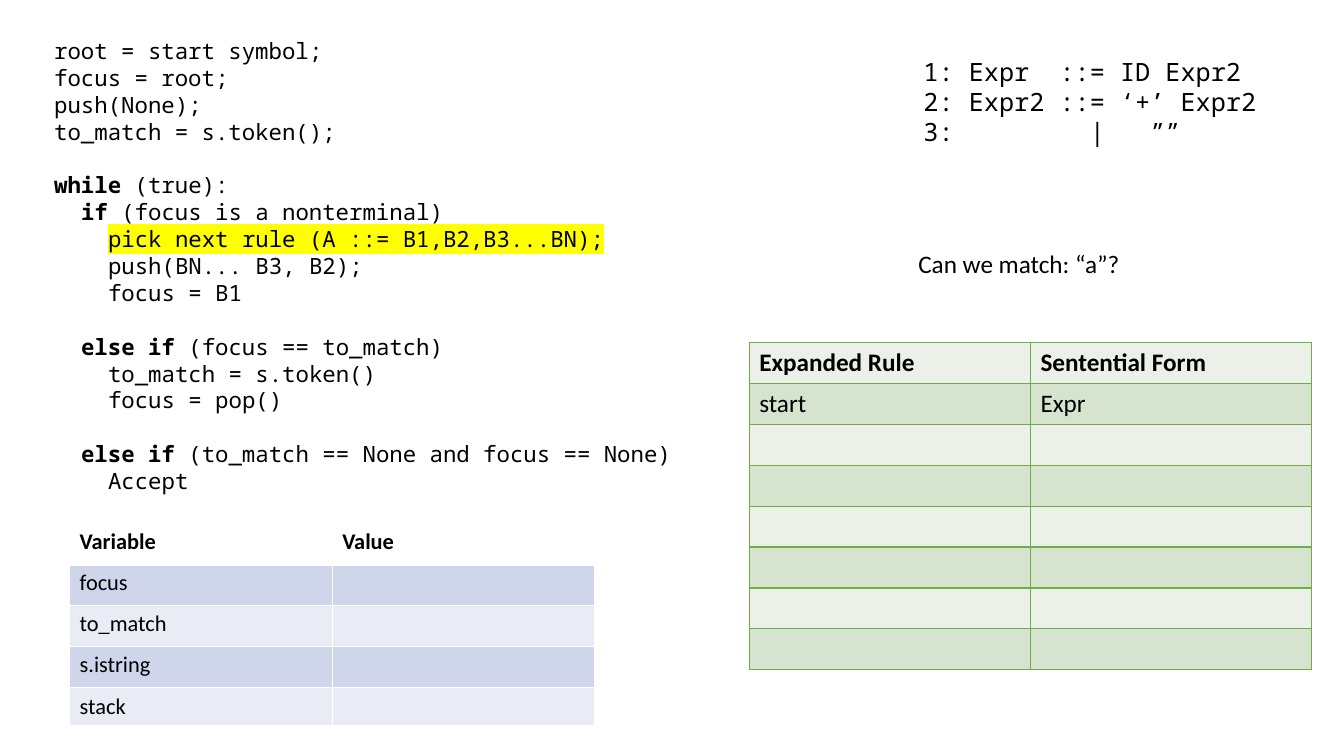
from dataclasses import dataclass
from typing import NamedTuple

from lxml.etree import SubElement
from pptx import Presentation
from pptx.dml.color import RGBColor
from pptx.enum.text import MSO_AUTO_SIZE as AutoSize
from pptx.oxml.ns import qn
from pptx.util import Inches, Pt

MONO, SANS = "Noto Sans Mono", "Calibri"
CODE_SIZE, TEXT_SIZE = 16, 18
CODE_PITCH, GRAMMAR_PITCH = 19.2, 21.4
CHAR_SHARE = 0.6
BLACK, WHITE, YELLOW, GREEN = "000000", "FFFFFF", "FFFF00", "70AD47"


class Box(NamedTuple):
    """Left, top, width and height in percent of the slide."""
    x: float
    y: float
    w: float
    h: float


class Line(NamedTuple):
    text: str
    keyword: str = ""
    level: int = 0
    gap: bool = False
    mark: str = ""
    tabs: tuple[int, ...] = ()


@dataclass
class TextBlock:
    box: Box
    lines: list[Line]
    font: str
    size: int
    pitch: float = 0


@dataclass
class Grid:
    box: Box
    cells: list[tuple[str, str]]
    heights: list[float]
    size: int
    bands: tuple[str, str]
    head_fill: str
    border: str
    head_rule: int = 1


prs = Presentation()
prs.slide_width, prs.slide_height = Inches(13.33), Inches(7.5)
s = prs.slides.add_slide(prs.slide_layouts[6])


def across(share: float) -> int:
    return round(prs.slide_width * share / 100)


def down(share: float) -> int:
    return round(prs.slide_height * share / 100)


def frame(box: Box) -> tuple[int, int, int, int]:
    return across(box.x), down(box.y), across(box.w), down(box.h)


def paint(target, color: str) -> None:
    target.rgb = RGBColor.from_string(color)


def add_run(p, text: str, font: str, size: int, bold: bool = False, mark: str = "") -> None:
    r = p.add_run()
    r.text = text
    for key, value in {"name": font, "size": Pt(size), "bold": bold}.items():
        setattr(r.font, key, value)
    r.font.fill.solid()
    paint(r.font.fill.fore_color, BLACK)
    if mark:
        rpr = r._r.get_or_add_rPr()
        highlight = SubElement(rpr, qn("a:highlight"))
        SubElement(highlight, qn("a:srgbClr"), val=mark)
        rpr.find(qn("a:solidFill")).addnext(highlight)


def add_text(block: TextBlock) -> None:
    tf = s.shapes.add_textbox(*frame(block.box)).text_frame
    for key, value in {"word_wrap": True, "auto_size": AutoSize.NONE}.items():
        setattr(tf, key, value)
    char = block.size * CHAR_SHARE
    for i, line in enumerate(block.lines):
        p = tf.add_paragraph() if i else tf.paragraphs[0]
        if block.pitch:
            p.line_spacing = Pt(block.pitch)
        if line.gap:
            p.space_before = Pt(block.pitch)
        ppr = p._p.get_or_add_pPr()
        if line.level:
            ppr.set("marL", str(Pt(2 * line.level * char)))
            ppr.set("indent", "0")
        if line.tabs:
            stops = SubElement(ppr, qn("a:tabLst"))
            for col in line.tabs:
                SubElement(stops, qn("a:tab"), pos=str(Pt(col * char)), algn="l")
        if line.keyword:
            add_run(p, line.keyword, block.font, block.size, bold=True)
        add_run(p, line.text, block.font, block.size, mark=line.mark)


def add_borders(cell, color: str, bottom: int) -> None:
    tcpr = cell._tc.get_or_add_tcPr()
    for i, side in enumerate("LRTB"):
        width = bottom if side == "B" else 1
        ln = SubElement(tcpr, qn(f"a:ln{side}"), w=str(Pt(width)))
        SubElement(SubElement(ln, qn("a:solidFill")), qn("a:srgbClr"), val=color)
        tcpr.insert(i, ln)


def add_grid(grid: Grid) -> None:
    tbl = s.shapes.add_table(len(grid.cells), 2, *frame(grid.box)).table
    for col in tbl.columns:
        col.width = across(grid.box.w / 2)
    for i, (row, texts) in enumerate(zip(tbl.rows, grid.cells)):
        row.height = down(grid.heights[i])
        for cell, text in zip(row.cells, texts):
            cell.fill.solid()
            paint(cell.fill.fore_color, grid.bands[i % 2] if i else grid.head_fill)
            add_borders(cell, grid.border, 1 if i else grid.head_rule)
            p = cell.text_frame.paragraphs[0]
            if text:
                add_run(p, text, SANS, grid.size, bold=not i)
            else:
                SubElement(p._p, qn("a:endParaRPr"), sz=str(grid.size * 100))


code = [
    Line("root = start symbol;"),
    Line("focus = root;"),
    Line("push(None);"),
    Line("to_match = s.token();"),
    Line(" (true):", "while", gap=True),
    Line(" (focus is a nonterminal)", "if", 1),
    Line("pick next rule (A ::= B1,B2,B3...BN);", level=2, mark=YELLOW),
    Line("push(BN... B3, B2);", level=2),
    Line("focus = B1", level=2),
    Line("(focus == to_match)", "else if ", 1, gap=True),
    Line("to_match = s.token()", level=2),
    Line("focus = pop()", level=2),
    Line("(to_match == None and focus == None)", "else if ", 1, gap=True),
    Line("Accept", level=2),
]
grammar = [
    Line("1: Expr\t::= ID Expr2", tabs=(9,)),
    Line("2: Expr2\t::= ‘+’ Expr2", tabs=(9,)),
    Line("3:\t|\t””", tabs=(11, 15)),
]
derivation = [("Expanded Rule", "Sentential Form"), ("start", "Expr")] + [("", "")] * 6
variables = [("Variable", "Value")] + [
    (name, "") for name in ("focus", "to_match", "s.istring", "stack")
]

add_text(TextBlock(Box(3.3, 4.27, 49.14, 73.2), code, MONO, CODE_SIZE, CODE_PITCH))
add_grid(Grid(Box(55.74, 45.33, 41.86, 43.2), derivation, [5.4] * 8, TEXT_SIZE,
              ("EBF1E9", "D5E3CF"), "EBF1E9", GREEN))
add_grid(Grid(Box(5.18, 69.2, 39.08, 25.49), variables, [5.44] * 4 + [3.73], CODE_SIZE,
              ("E9EBF5", "CFD5EA"), WHITE, WHITE, 3))
add_text(TextBlock(Box(67.97, 6.8, 32.03, 13.47), grammar, MONO, TEXT_SIZE, GRAMMAR_PITCH))
add_text(TextBlock(Box(67.59, 32.13, 18, 5.33), [Line("Can we match: “a”?")], SANS, TEXT_SIZE))

prs.save("out.pptx")
